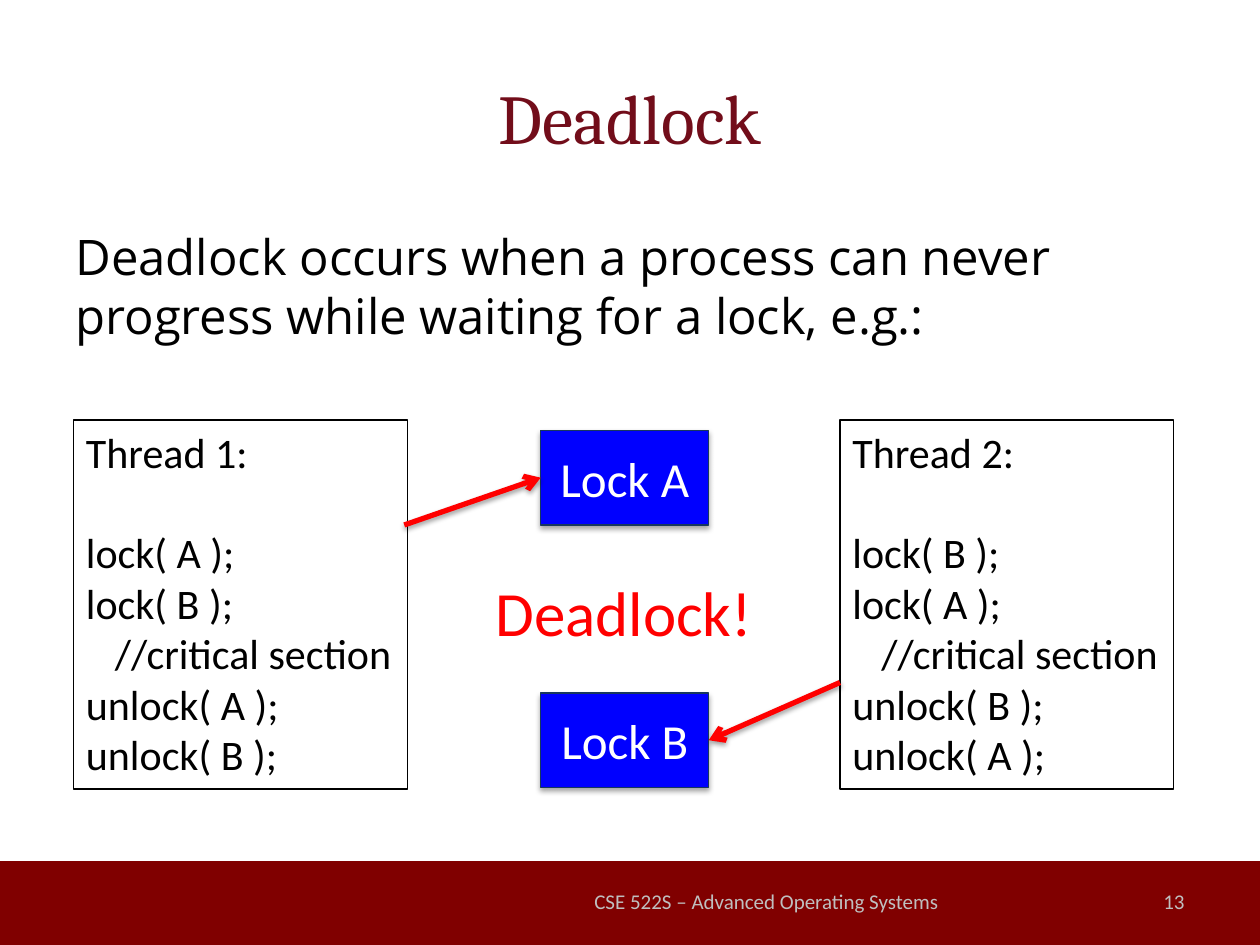
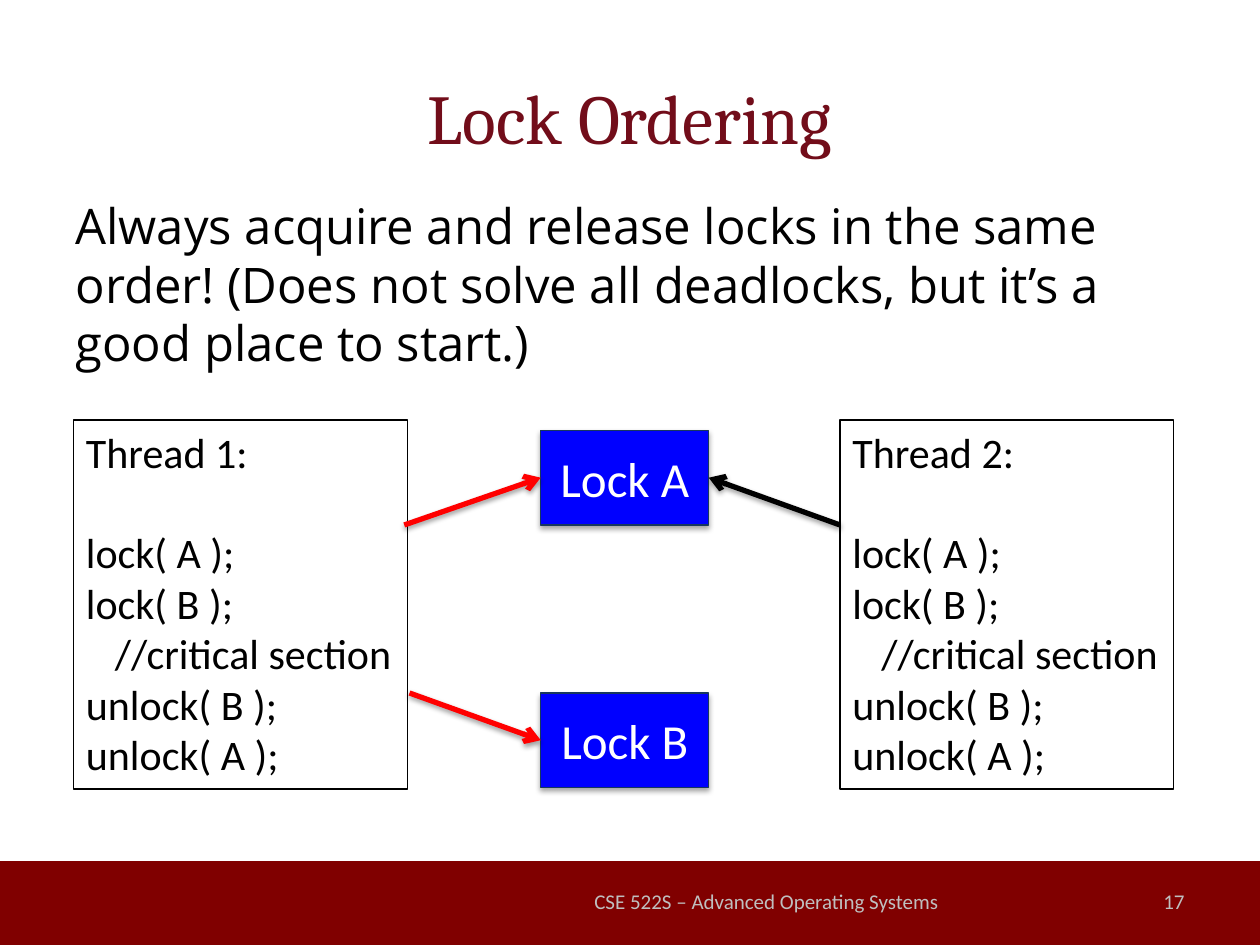
import pptx
import pptx.util
import pptx.dml.color
import pptx.enum.shapes
import pptx.enum.text
import pptx.oxml
import pptx.oxml.ns
from lxml import etree

RGBColor = pptx.dml.color.RGBColor
ALIGN = pptx.enum.text.PP_ALIGN
ANCHOR = pptx.enum.text.MSO_ANCHOR
RECTANGLE = pptx.enum.shapes.MSO_SHAPE.RECTANGLE
STRAIGHT = pptx.enum.shapes.MSO_CONNECTOR.STRAIGHT
qn = pptx.oxml.ns.qn

MAROON = RGBColor(0x80, 0x00, 0x00)
TITLE_RED = RGBColor(0x72, 0x0D, 0x1A)
FOOTER_GREY = RGBColor(0xBF, 0xBF, 0xBF)
LOCK_BLUE = RGBColor(0x00, 0x00, 0xFF)
LOCK_EDGE = RGBColor(0x17, 0x37, 0x5E)
RED = RGBColor(0xFF, 0x00, 0x00)
BLACK = RGBColor(0x00, 0x00, 0x00)
WHITE = RGBColor(0xFF, 0xFF, 0xFF)

WIDTH, HEIGHT = pptx.util.Inches(10), pptx.util.Inches(7.5)
COLUMNS, ROWS = 24, 18

# Boxes are (left, top, width, height) in grid columns and rows
TITLE_BOX = (1.2, 0.72, 21.6, 3)
BAND_BOX = (0, 16.4, 24, 1.6)
THREAD_SIZE = (6.36, 7.03)
LOCK_SIZE = (3.2, 1.8)
LEFT_SIDE, RIGHT_SIDE = 1, 3
LINE_HEIGHT = 1.2
CRITICAL = "//critical section"


def across(columns):
    return round(WIDTH * columns / COLUMNS)


def down(rows):
    return round(HEIGHT * rows / ROWS)


def place(box):
    left, top, width, height = box
    return across(left), down(top), across(width), down(height)


def add_text(para, text, size, color, font="Calibri", align=None):
    span = para.add_run()
    span.text = text
    span.font.size = pptx.util.Pt(size)
    span.font.name = font
    span.font.color.rgb = color
    para.alignment = align


def indent(para, inches):
    properties = para._p.get_or_add_pPr()
    properties.set("marL", str(pptx.util.Inches(inches)))
    properties.set("indent", "0")
    return properties


def add_rectangle(page, box, fill, edge):
    shape = page.shapes.add_shape(RECTANGLE, *place(box))
    shape.shadow.inherit = False
    if fill is None:
        shape.fill.background()
    else:
        shape.fill.solid()
        shape.fill.fore_color.rgb = fill
    if edge is None:
        shape.line.fill.background()
    else:
        shape.line.color.rgb = edge
        shape.line.width = pptx.util.Pt(0.75)
    return shape


def cast_shadow(shape, opacity, distance):
    """Give a shape or connector a soft black shadow straight below it."""
    properties = shape._element.spPr
    effects = properties.find(qn("a:effectLst"))
    if effects is None:
        effects = etree.SubElement(properties, qn("a:effectLst"))
    shadow = etree.SubElement(
        effects, qn("a:outerShdw"), blurRad=str(pptx.util.Pt(3.1)),
        dist=str(pptx.util.Pt(distance)), dir="5400000", rotWithShape="0")
    color = etree.SubElement(shadow, qn("a:srgbClr"), val=str(BLACK))
    etree.SubElement(color, qn("a:alpha"), val=str(opacity * 1000))


def add_label(page, box, text, size, color, align=None, anchor=ANCHOR.MIDDLE, wrap=True):
    frame = page.shapes.add_textbox(*place(box)).text_frame
    frame.word_wrap = wrap
    frame.vertical_anchor = anchor
    add_text(frame.paragraphs[0], text, size, color, align=align)


def fill_placeholder(holder, box, text, size, color, font, align):
    holder.left, holder.top, holder.width, holder.height = place(box)
    para = holder.text_frame.paragraphs[0]
    add_text(para, text, size, color, font, align)
    return para


def add_footer(page, box, number):
    add_rectangle(page, box, MAROON, None)
    top = box[1] + 0.28
    add_label(page, (10.8, top, 7.6, 0.96), "CSE 522S – Advanced Operating Systems",
              12, FOOTER_GREY, ALIGN.CENTER)
    add_label(page, (17.2, top, 5.6, 0.96), str(number), 12, FOOTER_GREY, ALIGN.RIGHT)


def add_lock(page, box, name):
    lock = add_rectangle(page, box, LOCK_BLUE, LOCK_EDGE)
    cast_shadow(lock, 35, 1.8)
    lock.text_frame.vertical_anchor = ANCHOR.MIDDLE
    add_text(lock.text_frame.paragraphs[0], f"Lock {name}", 28, WHITE, align=ALIGN.CENTER)
    return lock


def add_thread(page, box, heading, locked, unlocked):
    size = 24
    frame = add_rectangle(page, box, None, BLACK).text_frame
    frame.word_wrap = False
    frame.vertical_anchor = ANCHOR.TOP
    first = frame.paragraphs[0]
    add_text(first, heading, size, BLACK, align=ALIGN.LEFT)
    first.space_after = pptx.util.Pt(size * LINE_HEIGHT)
    steps = [f"lock( {name} );" for name in locked] + [CRITICAL]
    steps += [f"unlock( {name} );" for name in unlocked]
    for step in steps:
        para = frame.add_paragraph()
        add_text(para, step, size, BLACK, align=ALIGN.LEFT)
        if step == CRITICAL:
            indent(para, 0.23)


def add_arrow(page, start, lock, side, color):
    left, top = across(start[0]), down(start[1])
    arrow = page.shapes.add_connector(STRAIGHT, left, top, left, top)
    arrow.end_connect(lock, side)
    arrow.line.color.rgb = color
    arrow.line.width = pptx.util.Pt(3)
    etree.SubElement(arrow.line._get_or_add_ln(), qn("a:tailEnd"), type="arrow")
    cast_shadow(arrow, 38, 1.6)


def add_lock_slide(deck, number, title, statement, body_top, threads, arrows, verdict=None):
    page = deck.slides.add_slide(deck.slide_layouts[1])
    add_footer(page, BAND_BOX, number)

    # Title and statement
    fill_placeholder(page.shapes.title, TITLE_BOX, title, 40, TITLE_RED, "Cambria", ALIGN.CENTER)
    para = fill_placeholder(page.placeholders[1], (1.2, body_top, 21.6, 11.88),
                            statement, 28, BLACK, "Open Sans", ALIGN.LEFT)
    etree.SubElement(indent(para, 0), qn("a:buNone"))

    # Locks in the middle, threads on both sides
    locks = {name: add_lock(page, (10.3, top, *LOCK_SIZE), name)
             for name, top in (("A", 8.2), ("B", 13.2))}
    for index, (left, orders) in enumerate(zip((1.4, 16), threads), 1):
        add_thread(page, (left, 8, *THREAD_SIZE), f"Thread {index}:", *orders)

    # Lock requests
    for start, name, side, color in arrows:
        add_arrow(page, start, locks[name], side, color)
    if verdict:
        add_label(page, (9.2, 10.8, 5.42, 1.7), verdict, 36, RED, anchor=ANCHOR.TOP, wrap=False)


def main():
    deck = pptx.Presentation()
    deck.slide_width, deck.slide_height = WIDTH, HEIGHT
    first_request = ((7.7, 10), "A", LEFT_SIDE, RED)
    add_lock_slide(
        deck, 13, "Deadlock",
        "Deadlock occurs when a process can never progress while waiting for a lock, e.g.:",
        4.2, [("AB", "AB"), ("BA", "BA")],
        [((16, 13), "B", RIGHT_SIDE, RED), first_request], "Deadlock!")
    add_lock_slide(
        deck, 17, "Lock Ordering",
        "Always acquire and release locks in the same order! "
        "(Does not solve all deadlocks, but it’s a good place to start.)",
        3.6, [("AB", "BA"), ("AB", "BA")],
        [first_request, ((16, 10), "A", RIGHT_SIDE, BLACK),
         ((7.8, 13.2), "B", LEFT_SIDE, RED)])
    deck.save("out.pptx")


if __name__ == "__main__":
    main()
